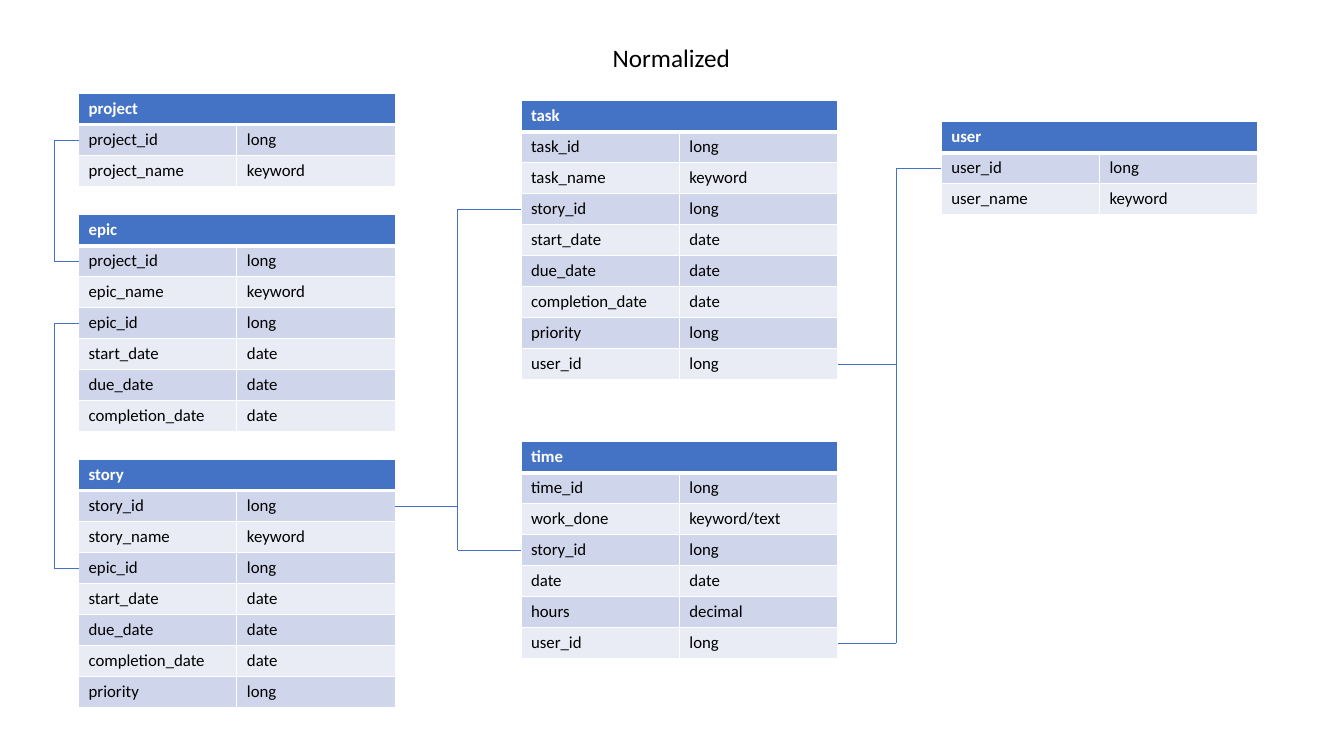
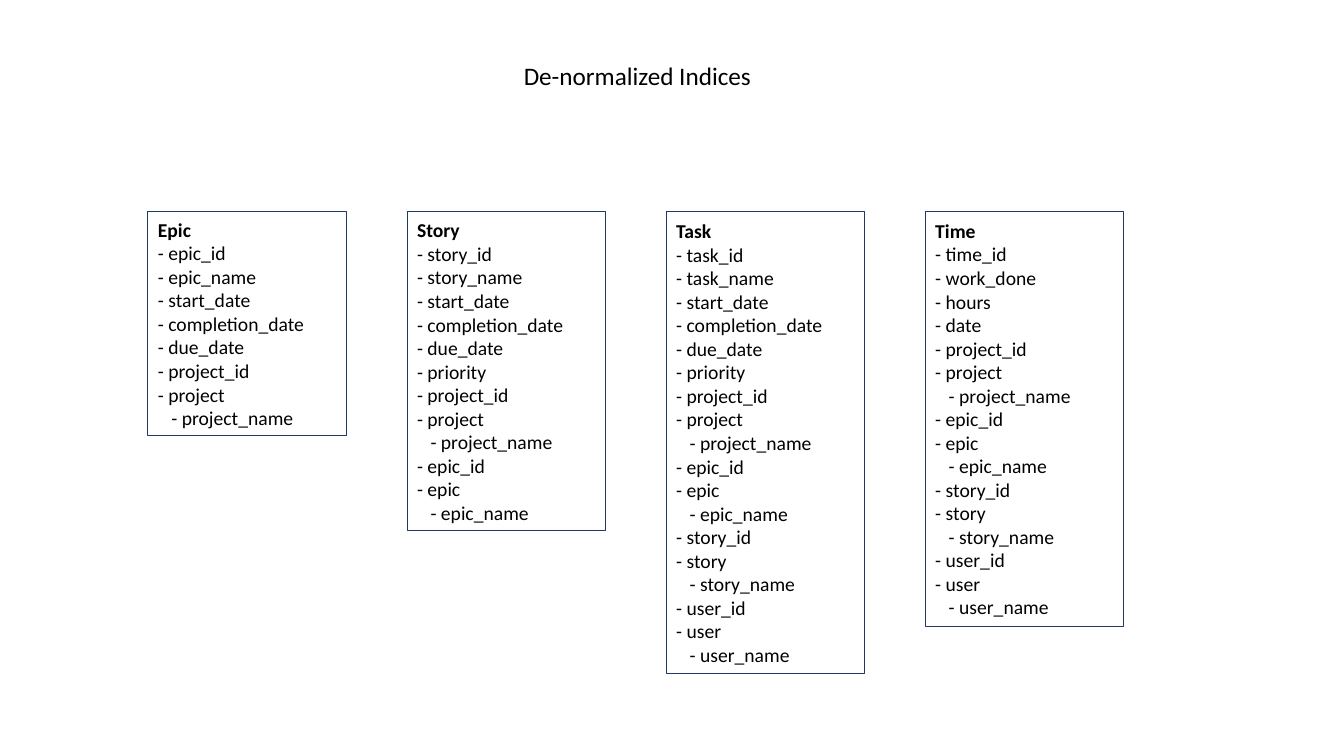
from dataclasses import dataclass

from lxml import etree
from pptx import Presentation
from pptx.dml.color import RGBColor
from pptx.enum.shapes import MSO_CONNECTOR, MSO_SHAPE
from pptx.enum.text import MSO_ANCHOR, MSO_AUTO_SIZE, PP_ALIGN
from pptx.oxml.ns import qn
from pptx.slide import Slide
from pptx.table import _Cell
from pptx.text.text import _Paragraph
from pptx.util import Cm, Pt

STRAIGHT = MSO_CONNECTOR.STRAIGHT
RECTANGLE = MSO_SHAPE.RECTANGLE
MIDDLE = MSO_ANCHOR.MIDDLE
GROW = MSO_AUTO_SIZE.SHAPE_TO_FIT_TEXT
LEFT = PP_ALIGN.LEFT
JUSTIFY = PP_ALIGN.JUSTIFY

COLORS = {
    "header": "4472C4",
    "odd_row": "CFD5EA",
    "even_row": "E9EBF5",
    "relation": "4472C4",
    "card_edge": "203864",
    "text": "000000",
    "white": "FFFFFF",
}
FONT = "Calibri"

FIELD_WIDTH = 3.99
ROW_HEIGHT = 0.78
THIN_BORDER = 1
HEADER_BORDER = 3

CARD_LEFT = 3.73
CARD_TOP = 5.33
CARD_WIDTH = 5
CARD_PITCH = 6.53
CARD_LINE = 0.6
CARD_PADDING = 0.25
NESTED_INDENT = 0.34


@dataclass(frozen=True)
class Title:
    text: str
    left: float
    top: float
    width: float


@dataclass(frozen=True)
class Entity:
    name: str
    left: float
    top: float
    fields: tuple[tuple[str, str], ...]

    def field_y(self, field: str) -> float:
        names = [name for name, _ in self.fields]
        return self.top + (names.index(field) + 1.5) * ROW_HEIGHT

    def edge_toward(self, x: float) -> float:
        return self.left if x < self.left else self.left + 2 * FIELD_WIDTH


@dataclass(frozen=True)
class Relation:
    field: str
    trunk_x: float
    entities: tuple[str, ...]


@dataclass(frozen=True)
class Index:
    name: str
    fields: tuple[str, ...]
    parents: tuple[str, ...]


def color(key: str) -> RGBColor:
    return RGBColor.from_string(COLORS[key])


def style_text(paragraph: _Paragraph, size: float, key: str = "text", bold: bool = False) -> None:
    for run in paragraph.runs:
        run.font.name = FONT
        run.font.size = Pt(size)
        run.font.bold = bold
        run.font.color.rgb = color(key)


def draw_title(slide: Slide, title: Title) -> None:
    box = slide.shapes.add_textbox(Cm(title.left), Cm(title.top), Cm(title.width), Cm(1.02))
    frame = box.text_frame
    frame.word_wrap = False
    frame.auto_size = GROW
    frame.text = title.text
    frame.paragraphs[0].alignment = JUSTIFY
    style_text(frame.paragraphs[0], 18)


def draw_borders(cell: _Cell, top: float, bottom: float) -> None:
    properties = cell._tc.get_or_add_tcPr()
    widths = {"a:lnL": THIN_BORDER, "a:lnR": THIN_BORDER, "a:lnT": top, "a:lnB": bottom}
    for tag, width in widths.items():
        border = etree.SubElement(properties, qn(tag), w=str(Pt(width)))
        fill = etree.SubElement(border, qn("a:solidFill"))
        etree.SubElement(fill, qn("a:srgbClr"), val=COLORS["white"])


def draw_entity(slide: Slide, entity: Entity) -> None:
    rows = ((entity.name, ""), *entity.fields)
    table = slide.shapes.add_table(
        len(rows), 2, Cm(entity.left), Cm(entity.top),
        Cm(2 * FIELD_WIDTH), Cm(len(rows) * ROW_HEIGHT),
    ).table
    for column in table.columns:
        column.width = Cm(FIELD_WIDTH)
    for row_number, row in enumerate(rows):
        table.rows[row_number].height = Cm(ROW_HEIGHT)
        is_header = row_number == 0
        band = "header" if is_header else "odd_row" if row_number % 2 else "even_row"
        top = HEADER_BORDER if row_number == 1 else THIN_BORDER
        bottom = HEADER_BORDER if is_header else THIN_BORDER
        for column_number, value in enumerate(row):
            cell = table.cell(row_number, column_number)
            draw_borders(cell, top, bottom)
            cell.fill.solid()
            cell.fill.fore_color.rgb = color(band)
            cell.text_frame.text = value
            style_text(cell.text_frame.paragraphs[0], 12, "white" if is_header else "text", is_header)
    table.cell(0, 0).merge(table.cell(0, 1))


def draw_line(slide: Slide, x1: float, y1: float, x2: float, y2: float) -> None:
    line = slide.shapes.add_connector(STRAIGHT, Cm(x1), Cm(y1), Cm(x2), Cm(y2))
    line.line.color.rgb = color("relation")
    line.line.width = Pt(0.5)
    etree.SubElement(line._element.spPr, qn("a:effectLst"))


def draw_relation(slide: Slide, relation: Relation, entities: dict[str, Entity]) -> None:
    x = relation.trunk_x
    linked = [entities[name] for name in relation.entities]
    heights = [entity.field_y(relation.field) for entity in linked]
    draw_line(slide, x, min(heights), x, max(heights))
    for entity, y in zip(linked, heights):
        draw_line(slide, x, y, entity.edge_toward(x), y)


def draw_index(slide: Slide, index: Index, left: float) -> None:
    entries = [(index.name, False)] + [(f"- {field}", False) for field in index.fields]
    for parent in index.parents:
        entries += [(f"- {parent}_id", False), (f"- {parent}", False), (f"- {parent}_name", True)]
    height = len(entries) * CARD_LINE + CARD_PADDING
    card = slide.shapes.add_shape(RECTANGLE, Cm(left), Cm(CARD_TOP), Cm(CARD_WIDTH), Cm(height))
    card.shadow.inherit = False
    card.fill.background()
    card.line.color.rgb = color("card_edge")
    card.line.width = Pt(0.75)
    frame = card.text_frame
    frame.word_wrap = True
    frame.auto_size = GROW
    frame.vertical_anchor = MIDDLE
    frame.text = "\n".join(text for text, _ in entries)
    for position, (paragraph, (_, nested)) in enumerate(zip(frame.paragraphs, entries)):
        paragraph.alignment = LEFT
        style_text(paragraph, 14, bold=position == 0)
        if nested:
            paragraph._p.get_or_add_pPr().set("marL", str(Cm(NESTED_INDENT)))


START = ("start_date", "date")
DUE = ("due_date", "date")
COMPLETION = ("completion_date", "date")
PRIORITY = ("priority", "long")
PROJECT_ID = ("project_id", "long")
EPIC_ID = ("epic_id", "long")
STORY_ID = ("story_id", "long")
USER_ID = ("user_id", "long")

PLANNING_LEFT, WORK_LEFT, PEOPLE_LEFT = 1.98, 13.13, 23.72

ENTITIES = (
    Entity("project", PLANNING_LEFT, 2.36, (PROJECT_ID, ("project_name", "keyword"))),
    Entity("epic", PLANNING_LEFT, 5.41, (
        PROJECT_ID, ("epic_name", "keyword"), EPIC_ID, START, DUE, COMPLETION)),
    Entity("story", PLANNING_LEFT, 11.58, (
        STORY_ID, ("story_name", "keyword"), EPIC_ID, START, DUE, COMPLETION, PRIORITY)),
    Entity("task", WORK_LEFT, 2.54, (
        ("task_id", "long"), ("task_name", "keyword"), STORY_ID,
        START, DUE, COMPLETION, PRIORITY, USER_ID)),
    Entity("time", WORK_LEFT, 11.13, (
        ("time_id", "long"), ("work_done", "keyword/text"), STORY_ID,
        ("date", "date"), ("hours", "decimal"), USER_ID)),
    Entity("user", PEOPLE_LEFT, 3.07, (USER_ID, ("user_name", "keyword"))),
)

RELATIONS = (
    Relation("story_id", 11.53, ("story", "task", "time")),
    Relation("user_id", 22.58, ("user", "task", "time")),
    Relation("epic_id", 1.37, ("epic", "story")),
    Relation("project_id", 1.37, ("project", "epic")),
)

DATES = ("start_date", "completion_date", "due_date")
INDICES = (
    Index("Epic", ("epic_id", "epic_name", *DATES), ("project",)),
    Index("Story", ("story_id", "story_name", *DATES, "priority"), ("project", "epic")),
    Index("Task", ("task_id", "task_name", *DATES, "priority"),
          ("project", "epic", "story", "user")),
    Index("Time", ("time_id", "work_done", "hours", "date"),
          ("project", "epic", "story", "user")),
)

presentation = Presentation()
presentation.slide_width = Cm(33.87)
presentation.slide_height = Cm(19.05)
blank = presentation.slide_layouts[6]

normalized = presentation.slides.add_slide(blank)
for entity in ENTITIES:
    draw_entity(normalized, entity)
entities_by_name = {entity.name: entity for entity in ENTITIES}
for relation in RELATIONS:
    draw_relation(normalized, relation, entities_by_name)
draw_title(normalized, Title("Normalized", 15.19, 0.94, 3.51))

denormalized = presentation.slides.add_slide(blank)
draw_title(denormalized, Title("De-normalized Indices", 12.95, 1.4, 6.3))
for position, index in enumerate(INDICES):
    draw_index(denormalized, index, CARD_LEFT + position * CARD_PITCH)

presentation.save("out.pptx")
